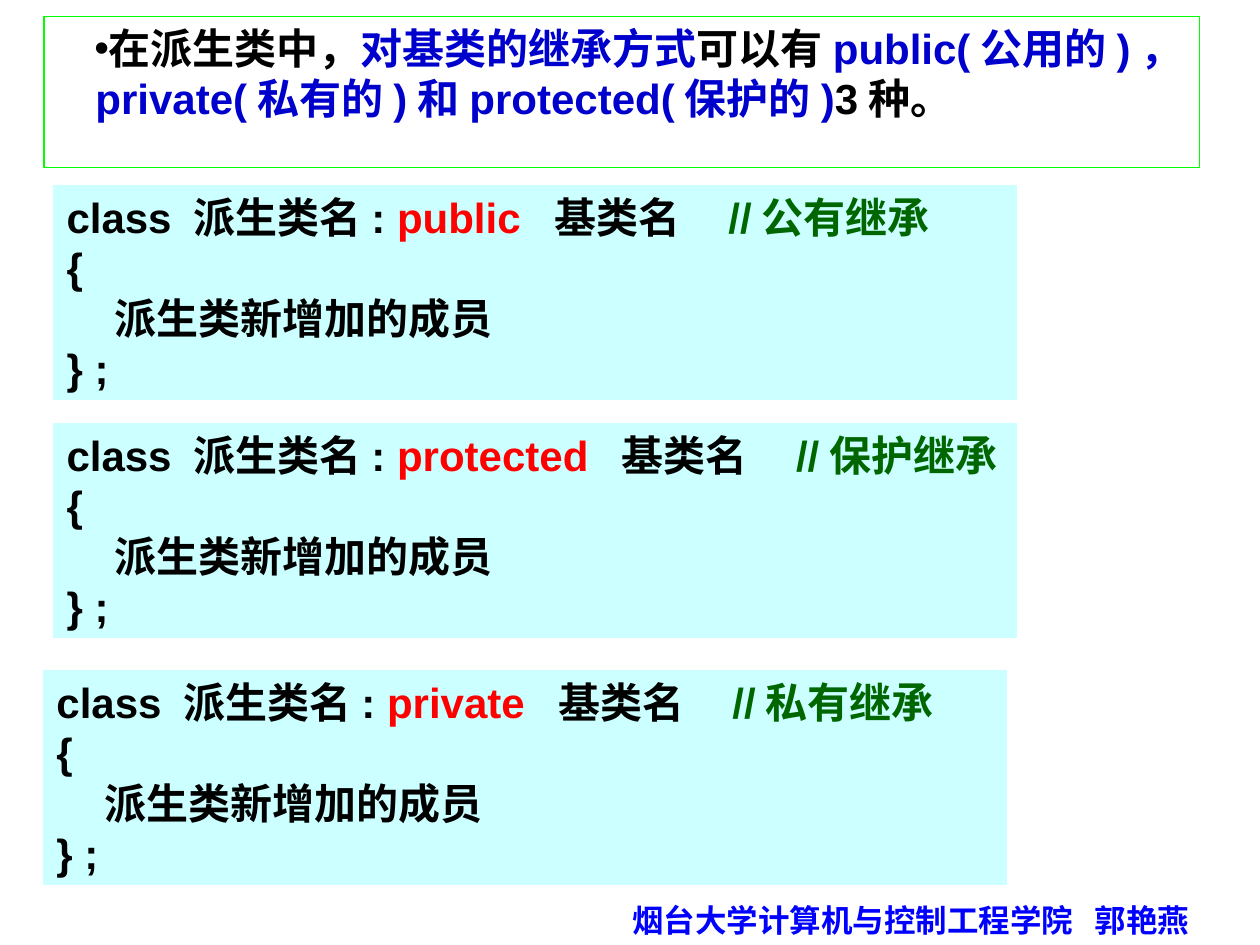
from dataclasses import dataclass

from lxml import etree
from pptx import Presentation
from pptx import util as u
from pptx.dml.color import RGBColor
from pptx.enum import shapes, text
from pptx.oxml.ns import qn


@dataclass(frozen=True)
class Theme:
    font: str = "Arial"
    body_size: int = 24
    footer_size: int = 18
    ink: str = "000000"
    emphasis: str = "0000CC"
    keyword: str = "FF0000"
    comment: str = "006600"
    footer: str = "0000FF"
    paper: str = "FFFFFF"
    frame: str = "00FF00"
    code_fill: str = "CCFFFF"


THEME = Theme()
CODE_SIZE = (7.64, 1.7)
# left, top, access keyword, comment
INHERITANCE_MODES = [
    (0.43, 1.47, "public", "公有继承"),
    (0.43, 3.36, "protected", "保护继承"),
    (0.35, 5.32, "private", "私有继承"),
]


def apply_format(target, values):
    for name, value in values.items():
        setattr(target, name, value)


def format_frame(frame, fit):
    apply_format(frame, {
        "word_wrap": True,
        "auto_size": fit,
        "vertical_anchor": text.MSO_ANCHOR.TOP,
        "margin_left": u.Inches(0.1),
        "margin_right": u.Inches(0.1),
        "margin_top": u.Inches(0.05),
        "margin_bottom": u.Inches(0.05),
    })


def write_runs(paragraph, runs, size=THEME.body_size):
    paragraph.alignment = text.PP_ALIGN.LEFT
    for wording, color in runs:
        run = paragraph.add_run()
        run.text = wording
        apply_format(run.font, {"name": THEME.font, "size": u.Pt(size), "bold": True})
        run.font.color.rgb = RGBColor.from_string(color)


def add_panel(slide, left, top, width, height, fill, line, fit):
    panel = slide.shapes.add_shape(
        shapes.MSO_SHAPE.RECTANGLE,
        u.Inches(left), u.Inches(top), u.Inches(width), u.Inches(height))
    panel.shadow.inherit = False
    panel.fill.solid()
    panel.fill.fore_color.rgb = RGBColor.from_string(fill)
    panel.line.color.rgb = RGBColor.from_string(line)
    panel.line.width = u.Pt(0.75)
    format_frame(panel.text_frame, fit)
    return panel.text_frame


def add_bullet(paragraph):
    props = paragraph._p.get_or_add_pPr()
    props.set("marL", str(u.Inches(0.31)))
    props.set("indent", str(u.Inches(-0.01)))
    color = etree.SubElement(props, qn("a:buClr"))
    etree.SubElement(color, qn("a:srgbClr"), val=THEME.ink)
    etree.SubElement(props, qn("a:buFont"), typeface=THEME.font)
    etree.SubElement(props, qn("a:buChar"), char="•")


def add_tab_stop(paragraph, position):
    tabs = etree.SubElement(paragraph._p.get_or_add_pPr(), qn("a:tabLst"))
    etree.SubElement(tabs, qn("a:tab"), pos=str(u.Inches(position)), algn="l")


def add_summary(slide):
    frame = add_panel(slide, 0.35, 0.13, 9.17, 1.2, THEME.paper, THEME.frame,
                      text.MSO_AUTO_SIZE.NONE)
    summary = frame.paragraphs[0]
    add_bullet(summary)
    write_runs(summary, [
        ("在派生类中，", THEME.ink),
        ("对基类的继承方式", THEME.emphasis),
        ("可以有", THEME.ink),
        ("public(公用的)，private(私有的)和protected(保护的)", THEME.emphasis),
        ("3种。", THEME.ink),
    ])


def add_class_code(slide, left, top, access, comment):
    frame = add_panel(slide, left, top, *CODE_SIZE, THEME.code_fill, THEME.code_fill,
                      text.MSO_AUTO_SIZE.SHAPE_TO_FIT_TEXT)
    code_lines = [
        [("class 派生类名: ", THEME.ink), (f"{access}  ", THEME.keyword),
         ("基类名    ", THEME.ink), (f"//{comment}", THEME.comment)],
        [("{", THEME.ink)],
        [("     派生类新增加的成员", THEME.ink)],
        [("} ;", THEME.ink)],
    ]
    for index, runs in enumerate(code_lines):
        write_runs(frame.add_paragraph() if index else frame.paragraphs[0], runs)


def add_footer(slide):
    footer = slide.shapes.add_textbox(
        u.Inches(4.92), u.Inches(7.1), u.Inches(4.88), u.Inches(0.4))
    format_frame(footer.text_frame, text.MSO_AUTO_SIZE.SHAPE_TO_FIT_TEXT)
    credit = footer.text_frame.paragraphs[0]
    add_tab_stop(credit, 3.67)
    write_runs(credit, [("烟台大学计算机与控制工程学院\t郭艳燕", THEME.footer)],
               THEME.footer_size)


def main():
    deck = Presentation()
    deck.slide_width, deck.slide_height = u.Inches(10), u.Inches(7.5)
    slide = deck.slides.add_slide(deck.slide_layouts[6])

    # School and lecturer
    add_footer(slide)
    # Statement of the three inheritance modes
    add_summary(slide)
    # One declaration per mode
    for mode in INHERITANCE_MODES:
        add_class_code(slide, *mode)

    deck.save("out.pptx")


if __name__ == "__main__":
    main()
